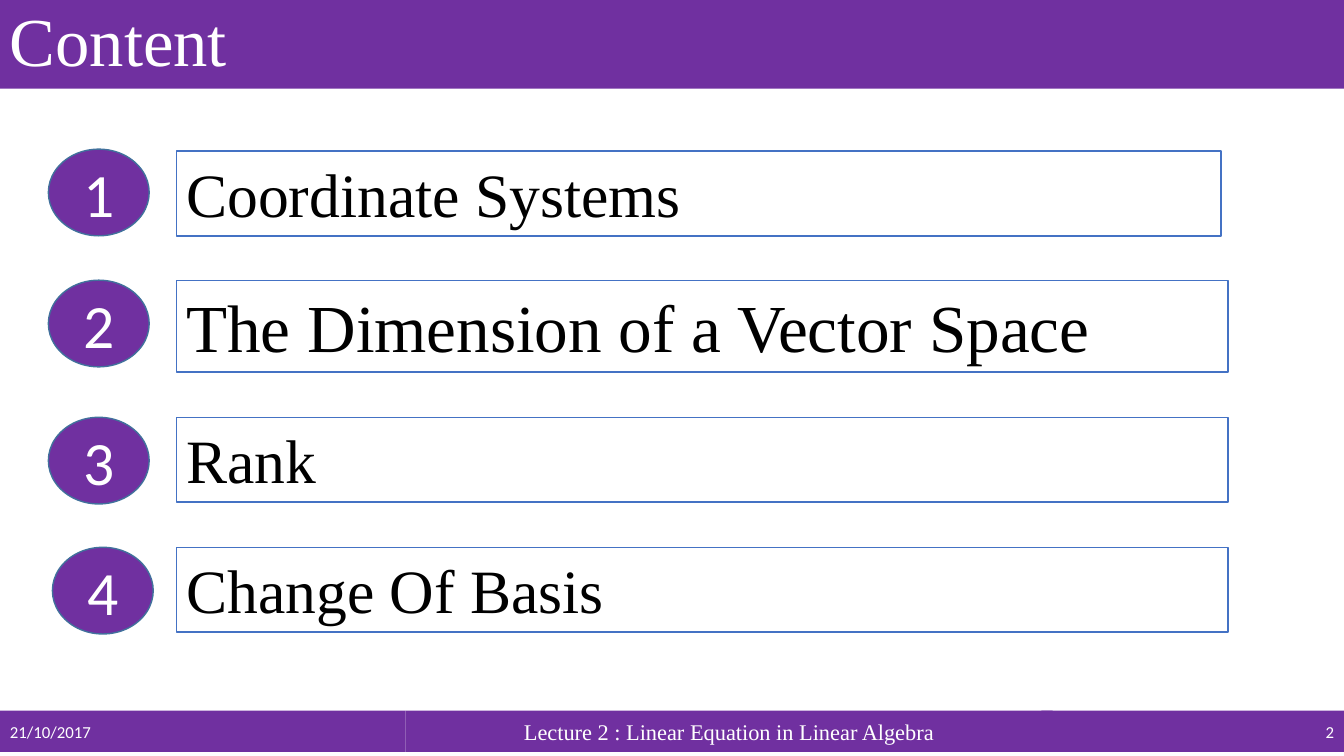
from pptx import Presentation
from pptx.dml.color import RGBColor
from pptx.enum.shapes import MSO_SHAPE as SHAPE
from pptx.enum.text import MSO_ANCHOR as ANCHOR, PP_ALIGN as ALIGN
from pptx.util import Pt

EMU_PER_PX = 9144


def px(n):
    return n * EMU_PER_PX


def color(value):
    return RGBColor.from_string(value)


class Deck:
    PURPLE, WHITE, BLACK = "7030A0", "FFFFFF", "000000"
    BADGE_LINE, TOPIC_LINE = "41719C", "4472C4"
    SERIF, SANS = "Times New Roman", "Calibri"

    def __init__(self, width, height):
        self.prs = Presentation()
        self.prs.slide_width, self.prs.slide_height = px(width), px(height)
        self.s = self.prs.slides.add_slide(self.prs.slide_layouts[6])

    def shape(self, kind, box, text, size, font, ink, fill, line=None,
              align=ALIGN.LEFT, anchor=ANCHOR.MIDDLE):
        sp = self.s.shapes.add_shape(kind, *map(px, box))
        sp.shadow.inherit = False
        sp.fill.solid()
        sp.fill.fore_color.rgb = color(fill)
        if line:
            sp.line.color.rgb = color(line)
            sp.line.width = Pt(1)
        else:
            sp.line.fill.background()
        tf = sp.text_frame
        tf.word_wrap = True
        tf.vertical_anchor = anchor
        tf.margin_left = tf.margin_right = px(10)
        tf.margin_top = tf.margin_bottom = px(5)
        p = tf.paragraphs[0]
        p.text = text
        p.alignment = align
        p.font.size = Pt(size)
        p.font.name = font
        p.font.color.rgb = color(ink)
        return p

    def bar(self, box, text, size, font, align=ALIGN.LEFT):
        return self.shape(SHAPE.RECTANGLE, box, text, size, font,
                          self.WHITE, self.PURPLE, align=align)

    def title(self, box, text):
        self.bar(box, text, 49, self.SERIF).line_spacing = 0.9

    def badge(self, left, top, number):
        self.shape(SHAPE.OVAL, (left, top, 100, 86), str(number), 44, self.SANS,
                   self.WHITE, self.PURPLE, self.BADGE_LINE, ALIGN.CENTER)

    def topic(self, top, width, height, text, size):
        self.shape(SHAPE.RECTANGLE, (175, top, width, height), text, size,
                   self.SERIF, self.BLACK, self.WHITE, self.TOPIC_LINE,
                   anchor=ANCHOR.TOP)

    def save(self):
        self.prs.save("out.pptx")


TOPICS = [
    (48, 148, 150, 1036, 84, "Coordinate Systems", 44),
    (48, 278, 278, 1043, 91, "The Dimension of a Vector Space", 48),
    (48, 414, 414, 1043, 84, "Rank", 44),
    (52, 543, 543, 1043, 84, "Change Of Basis", 44),
]


def main():
    deck = Deck(1333, 750)
    deck.title((0, 0, 1333, 88), "Content")
    deck.bar((0, 705, 402, 41), "21/10/2017", 12, deck.SANS)
    deck.bar((402, 705, 642, 41), "Lecture 2 : Linear Equation in Linear Algebra",
             16, deck.SERIF, ALIGN.CENTER)
    deck.bar((1033, 705, 300, 41), "2", 12, deck.SANS, ALIGN.RIGHT)
    for number, (left, badge_top, top, width, height, text, size) in enumerate(TOPICS, 1):
        deck.badge(left, badge_top, number)
        deck.topic(top, width, height, text, size)
    deck.save()


if __name__ == "__main__":
    main()
